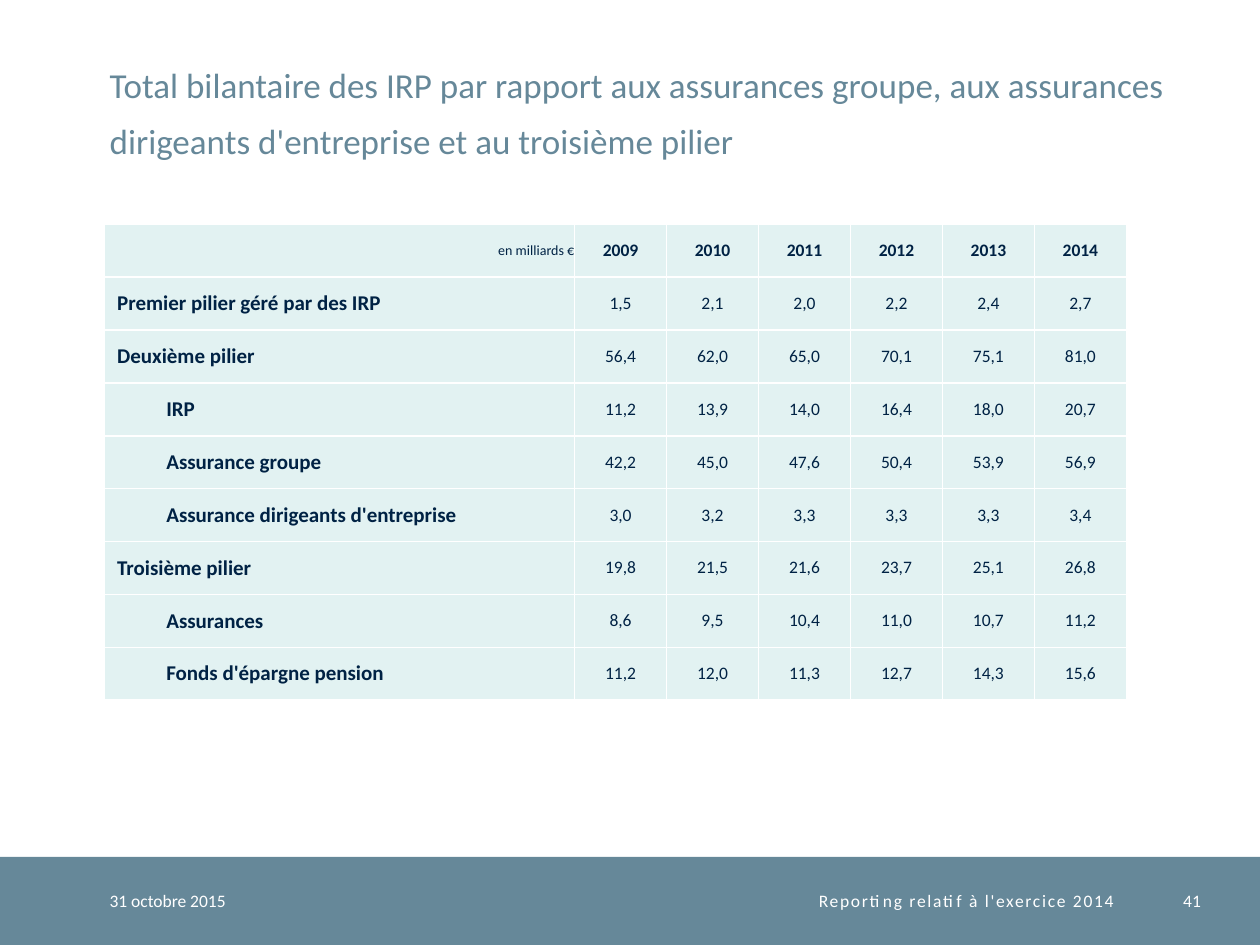
from pptx import Presentation
from pptx.dml.color import RGBColor
from pptx.enum.shapes import MSO_SHAPE
from pptx.enum.text import MSO_ANCHOR, PP_ALIGN
from pptx.util import Inches, Pt

LEFT, MID, RIGHT = PP_ALIGN.LEFT, PP_ALIGN.CENTER, PP_ALIGN.RIGHT
CENTRE, BOTTOM = MSO_ANCHOR.MIDDLE, MSO_ANCHOR.BOTTOM
FONT = "Calibri"
HEX = {"band": "668899", "ink": "002244", "pale": "E2F2F2", "white": "FFFFFF"}

# Content
TITLE = ("Total bilantaire des IRP par rapport aux assurances groupe, "
         "aux assurances dirigeants d'entreprise et au troisième pilier")
UNIT = "en milliards €"
YEARS = ["2009", "2010", "2011", "2012", "2013", "2014"]
# Label, outline level, one value per year
ROWS = [
    ("Premier pilier géré par des IRP", 0, "1,5 2,1 2,0 2,2 2,4 2,7"),
    ("Deuxième pilier", 0, "56,4 62,0 65,0 70,1 75,1 81,0"),
    ("IRP", 1, "11,2 13,9 14,0 16,4 18,0 20,7"),
    ("Assurance groupe", 1, "42,2 45,0 47,6 50,4 53,9 56,9"),
    ("Assurance dirigeants d'entreprise", 1, "3,0 3,2 3,3 3,3 3,3 3,4"),
    ("Troisième pilier", 0, "19,8 21,5 21,6 23,7 25,1 26,8"),
    ("Assurances", 1, "8,6 9,5 10,4 11,0 10,7 11,2"),
    ("Fonds d'épargne pension", 1, "11,2 12,0 11,3 12,7 14,3 15,6"),
]
# Text, left, width, alignment, letter spacing in points
FOOTER = [
    ("31 octobre 2015", 0.87, 1.77, LEFT, 0),
    ("Reporting relatif à l'exercice 2014", 2.64, 6.2, RIGHT, 1),
    ("41", 9.04, 0.49, RIGHT, 0),
]

# Layout, in inches
WIDE, HIGH = 10, 7.5
BAND = 0.7
FOOT = HIGH - BAND
MARGIN = 0.87
GRID_X, GRID_Y = 0.83, 1.78
LABEL_W, YEAR_W, ROW_H = 3.73, 0.73, 0.42
INDENT = [0.1, 0.49]


def rgb(name):
    return RGBColor.from_string(HEX[name])


def write(para, text, size, color, align=LEFT, bold=False):
    para.alignment = align
    run = para.add_run()
    run.text = text
    font = run.font
    font.name, font.size, font.bold = FONT, Pt(size), bold
    font.color.rgb = rgb(color)
    return run


def trim(box, anchor):
    """Remove the insets of a frame or cell and anchor its text."""
    box.margin_left = box.margin_right = 0
    box.margin_top = box.margin_bottom = 0
    box.vertical_anchor = anchor


def fill_cell(cell, text, size, align=MID, bold=False, indent=0):
    trim(cell, CENTRE)
    cell.fill.solid()
    cell.fill.fore_color.rgb = rgb("pale")
    para = cell.text_frame.paragraphs[0]
    write(para, text, size, "ink", align, bold)
    if indent:
        props = para._p.get_or_add_pPr()
        props.set("marL", str(Inches(indent)))
        props.set("indent", "0")


def add_title(slide):
    title = slide.shapes.title
    title.left, title.top = Inches(MARGIN), Inches(0.2)
    title.width, title.height = Inches(8.63), Inches(1.08)
    frame = title.text_frame
    frame.word_wrap = True
    trim(frame, BOTTOM)
    para = frame.paragraphs[0]
    para.line_spacing = Pt(32)
    write(para, TITLE, 20, "band")


def add_grid(slide):
    count = len(YEARS)
    lines = len(ROWS) + 1
    table = slide.shapes.add_table(
        lines, count + 1, Inches(GRID_X), Inches(GRID_Y),
        Inches(LABEL_W + count * YEAR_W), Inches(lines * ROW_H)).table
    table.horz_banding = False
    for col, width in enumerate([LABEL_W] + [YEAR_W] * count):
        table.columns[col].width = Inches(width)
    for row in table.rows:
        row.height = Inches(ROW_H)

    # Heading row
    fill_cell(table.cell(0, 0), UNIT, 8, RIGHT, indent=INDENT[0])
    for col, year in enumerate(YEARS, 1):
        fill_cell(table.cell(0, col), year, 10, bold=True)

    # Body rows
    for row, (label, level, values) in enumerate(ROWS, 1):
        fill_cell(table.cell(row, 0), label, 12, LEFT, True, INDENT[level])
        for col, value in enumerate(values.split(), 1):
            fill_cell(table.cell(row, col), value, 10)


def add_footer(slide):
    band = slide.shapes.add_shape(
        MSO_SHAPE.RECTANGLE, 0, Inches(FOOT), Inches(WIDE), Inches(BAND))
    band.shadow.inherit = False
    band.fill.solid()
    band.fill.fore_color.rgb = rgb("band")
    band.line.fill.background()
    for text, left, width, align, space in FOOTER:
        frame = slide.shapes.add_textbox(
            Inches(left), Inches(FOOT), Inches(width), Inches(BAND)).text_frame
        frame.word_wrap = True
        trim(frame, CENTRE)
        run = write(frame.paragraphs[0], text, 10, "white", align)
        if space:
            run._r.get_or_add_rPr().set("spc", str(space * 100))


def main():
    deck = Presentation()
    deck.slide_width, deck.slide_height = Inches(WIDE), Inches(HIGH)
    slide = deck.slides.add_slide(deck.slide_layouts[5])
    add_footer(slide)
    add_title(slide)
    add_grid(slide)
    deck.save("out.pptx")


if __name__ == "__main__":
    main()
